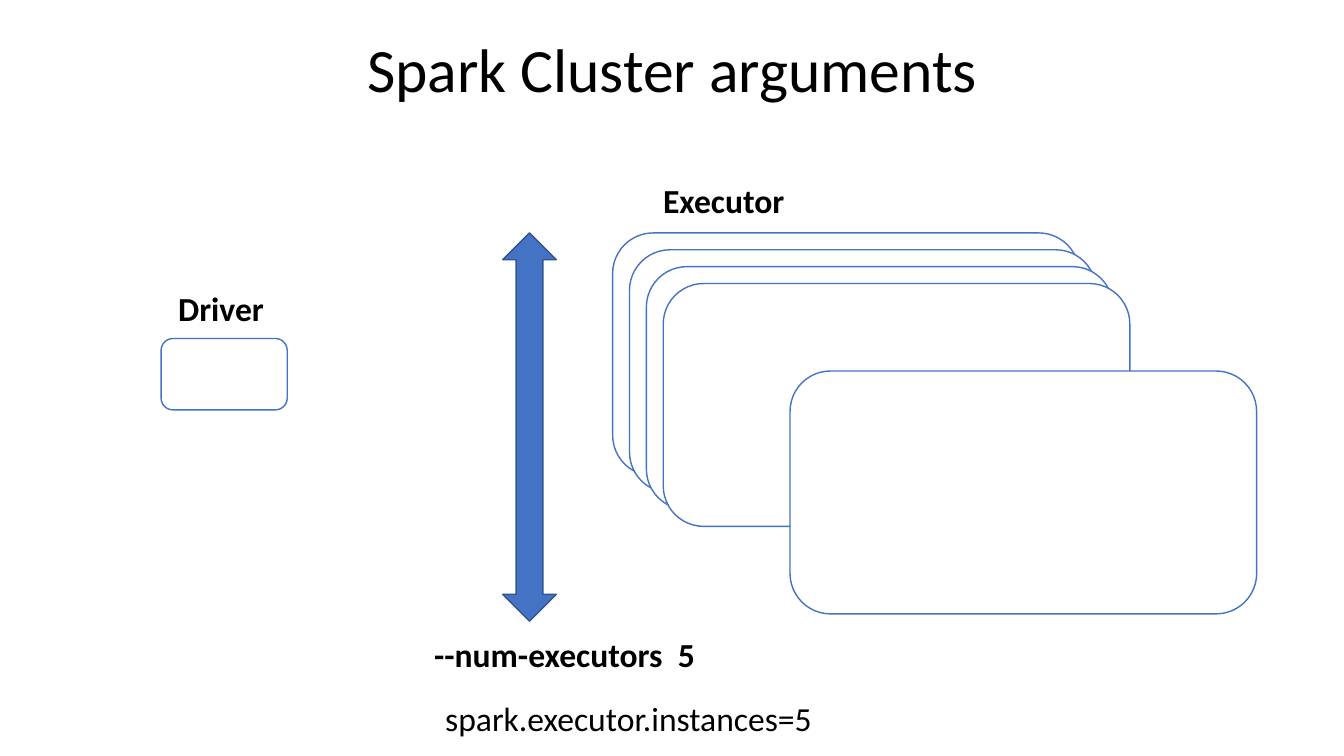
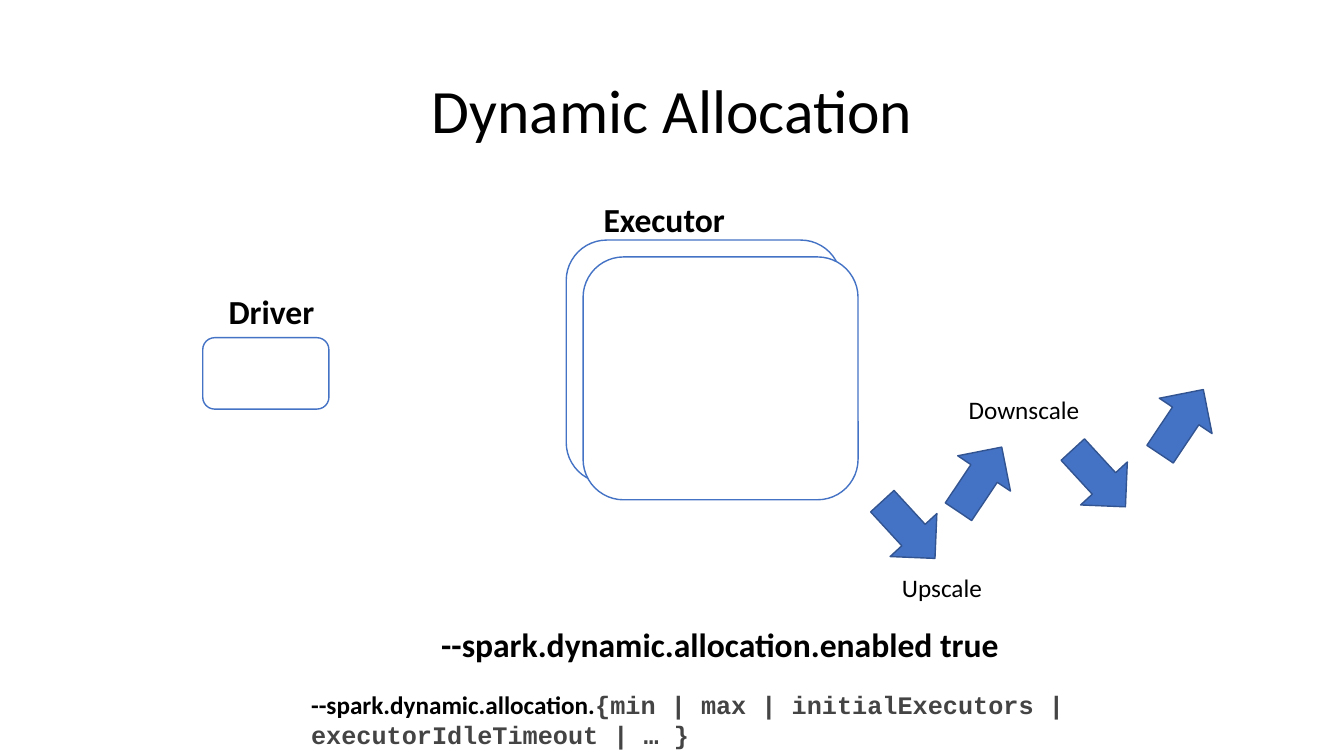
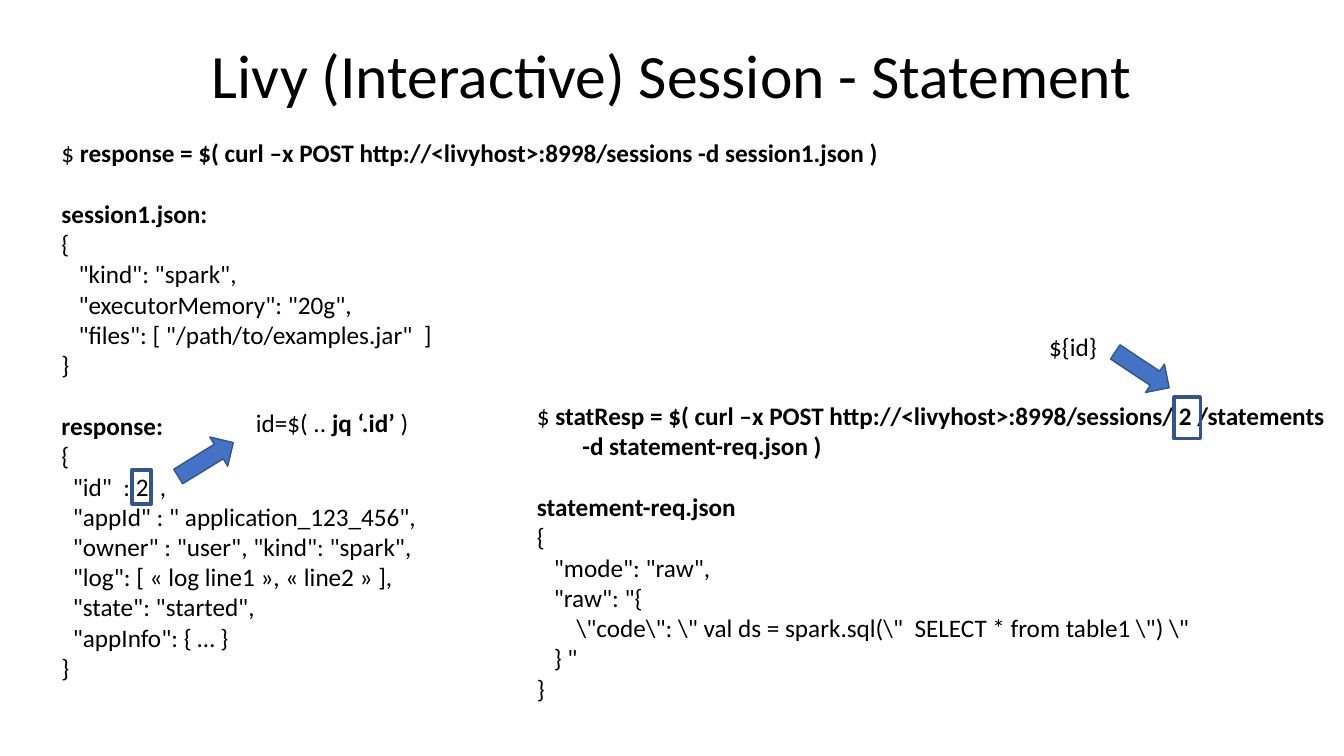
from pptx import Presentation
from pptx.dml.color import RGBColor
from pptx.enum.shapes import MSO_SHAPE as SHAPE
from pptx.enum.text import MSO_ANCHOR as ANCHOR, MSO_AUTO_SIZE as AUTO, PP_ALIGN as ALIGN
from pptx.util import Cm, Pt

BLUE = RGBColor(0x44, 0x72, 0xC4)
NAVY = RGBColor(0x32, 0x54, 0x91)
WHITE = RGBColor(0xFF, 0xFF, 0xFF)
BLACK = RGBColor(0x00, 0x00, 0x00)
GREY = RGBColor(0x44, 0x44, 0x44)
FONT = "Calibri"


def add_text(s, x, y, w, h, text, size=24, wrap=True):
    """Add a text box; parts between ** marks are bold."""
    tf = s.shapes.add_textbox(Cm(x), Cm(y), Cm(w), Cm(h)).text_frame
    tf.word_wrap = wrap
    tf.auto_size = AUTO.SHAPE_TO_FIT_TEXT
    for i, line in enumerate(text.split("\n")):
        p = tf.add_paragraph() if i else tf.paragraphs[0]
        for j, part in enumerate(line.split("**")):
            if part:
                r = p.add_run()
                r.text = part
                r.font.name = FONT
                r.font.size = Pt(size)
                r.font.bold = j % 2 == 1
                r.font.color.rgb = BLACK
    return tf


def add_shape(s, kind, x, y, w, h, fill=None, line=BLUE, weight=1, angle=0):
    sp = s.shapes.add_shape(kind, Cm(x), Cm(y), Cm(w), Cm(h))
    sp.shadow.inherit = False
    sp.rotation = angle
    sp.line.color.rgb = line
    sp.line.width = Pt(weight)
    if fill is None:
        sp.fill.background()
    else:
        sp.fill.solid()
        sp.fill.fore_color.rgb = fill


prs = Presentation()
prs.slide_width, prs.slide_height = Cm(33.87), Cm(19.05)

# Slides with their titles
slides = []
for title, top in [
    ("Spark Cluster arguments", 0),
    ("Dynamic Allocation", 1.02),
    ("Livy (Interactive) Session - Statement", 0.15),
]:
    s = prs.slides.add_slide(prs.slide_layouts[6])
    tf = add_text(s, 2.34, top, 29.21, 3.68, title, 44)
    tf.auto_size = AUTO.NONE
    tf.vertical_anchor = ANCHOR.MIDDLE
    tf.paragraphs[0].alignment = ALIGN.CENTER
    tf.paragraphs[0].line_spacing = 0.9
    slides.append(s)
cluster, dynamic, livy = slides

# Driver and executor labels, driver box
for s, driver_x, driver_y, label_x, label_y, exec_x, exec_y in [
    (cluster, 4.06, 8.53, 4.24, 7.14, 16.46, 4.42),
    (dynamic, 5.11, 8.51, 5.51, 7.21, 14.96, 4.88),
]:
    add_shape(s, SHAPE.ROUNDED_RECTANGLE, driver_x, driver_y, 3.18, 1.8)
    add_text(s, label_x, label_y, 5.56, 1.27, "**Driver**")
    add_text(s, exec_x, exec_y, 5.56, 1.27, "**Executor**")

# Stacked executors
STEP = 0.425
stack = [(15.44 + i * STEP, 5.87 + i * STEP) for i in range(4)] + [(19.91, 9.35)]
for x, y in stack:
    add_shape(cluster, SHAPE.ROUNDED_RECTANGLE, x, y, 11.76, 6.12, WHITE)
for i in range(2):
    add_shape(dynamic, SHAPE.ROUNDED_RECTANGLE, 14.27 + i * STEP, 6.05 + i * STEP,
              6.93, 6.12, WHITE)

# Cluster size
add_shape(cluster, SHAPE.UP_DOWN_ARROW, 12.67, 5.87, 1.35, 9.78, BLUE, NAVY)
add_text(cluster, 10.69, 15.85, 7.8, 1.27, "**--num-executors  5**")
add_text(cluster, 10.97, 17.45, 10.26, 1.27, "spark.executor.instances=5")

# Scaling arrows and settings
DOWN, UP = 317.4, 213.8
for x, y, angle in [(22.1, 12.37, DOWN), (23.9, 11.1, UP),
                    (28.98, 9.65, UP), (26.9, 11.07, DOWN)]:
    add_shape(dynamic, SHAPE.DOWN_ARROW, x, y, 1.6, 1.96, BLUE, NAVY, angle=angle)
add_text(dynamic, 22.48, 14.3, 2.54, 1.02, "Upscale", 18, False)
add_text(dynamic, 24.16, 9.8, 3.33, 1.02, "Downscale", 18, False)
add_text(dynamic, 10.87, 15.6, 14.71, 1.27,
         "**--spark.dynamic.allocation.enabled true**", wrap=False)
tf = add_text(dynamic, 7.59, 17.25, 22.68, 1.02,
              "**--spark.dynamic.allocation.**"
              "{min | max | initialExecutors | executorIdleTimeout | … }", 18)
options = tf.paragraphs[0].runs[1].font
options.name = "Courier New"
options.bold = True
options.color.rgb = GREY

# Session and statement code
SESSION = r'''$ **response = $( curl –x POST http://<livyhost>:8998/sessions -d session1.json )**
**session1.json:**
{
   "kind": "spark",
   "executorMemory": "20g",
   "files": [ "/path/to/examples.jar"  ]
}
**response:**
{
  "id"  : 2  ,
  "appId" : " application_123_456",
  "owner" : "user", "kind": "spark",
  "log": [ « log line1 », « line2 » ],
  "state": "started",
  "appInfo": { … }
}'''
STATEMENT = r'''$ **statResp = $( curl –x POST http://<livyhost>:8998/sessions/ 2 /statements**
**        -d statement-req.json )**
**statement-req.json**
{
   "mode": "raw",
   "raw": "{
       \"code\": \" val ds = spark.sql(\"  SELECT * from table1 \") \"
   } "
}'''
HEADINGS = ("session1.json:", "response:", "statement-req.json")
for x, y, w, h, code in [(1.3, 3.33, 21.29, 14.1, SESSION),
                         (13.28, 9.96, 20.57, 7.95, STATEMENT)]:
    for p in add_text(livy, x, y, w, h, code, 18, False).paragraphs:
        if p.text in HEADINGS:
            p.space_before = Pt(22)

# Session id marks
for x, y, w, h in [(3.33, 11.84, 0.48, 0.86), (29.59, 10.01, 0.66, 1.04)]:
    add_shape(livy, SHAPE.RECTANGLE, x, y, w, h, line=NAVY, weight=2.5)
for x, y, angle in [(4.37, 11.15, 328.4), (27.97, 8.89, 33.6)]:
    add_shape(livy, SHAPE.RIGHT_ARROW, x, y, 1.63, 0.86, BLUE, NAVY, angle=angle)
add_text(livy, 6.2, 10.13, 4.39, 1.02, "id=$( .. **jq ‘.id’** )", 18, False)
add_text(livy, 26.19, 8.23, 1.73, 1.02, "${id}", 18, False)

prs.save("out.pptx")
